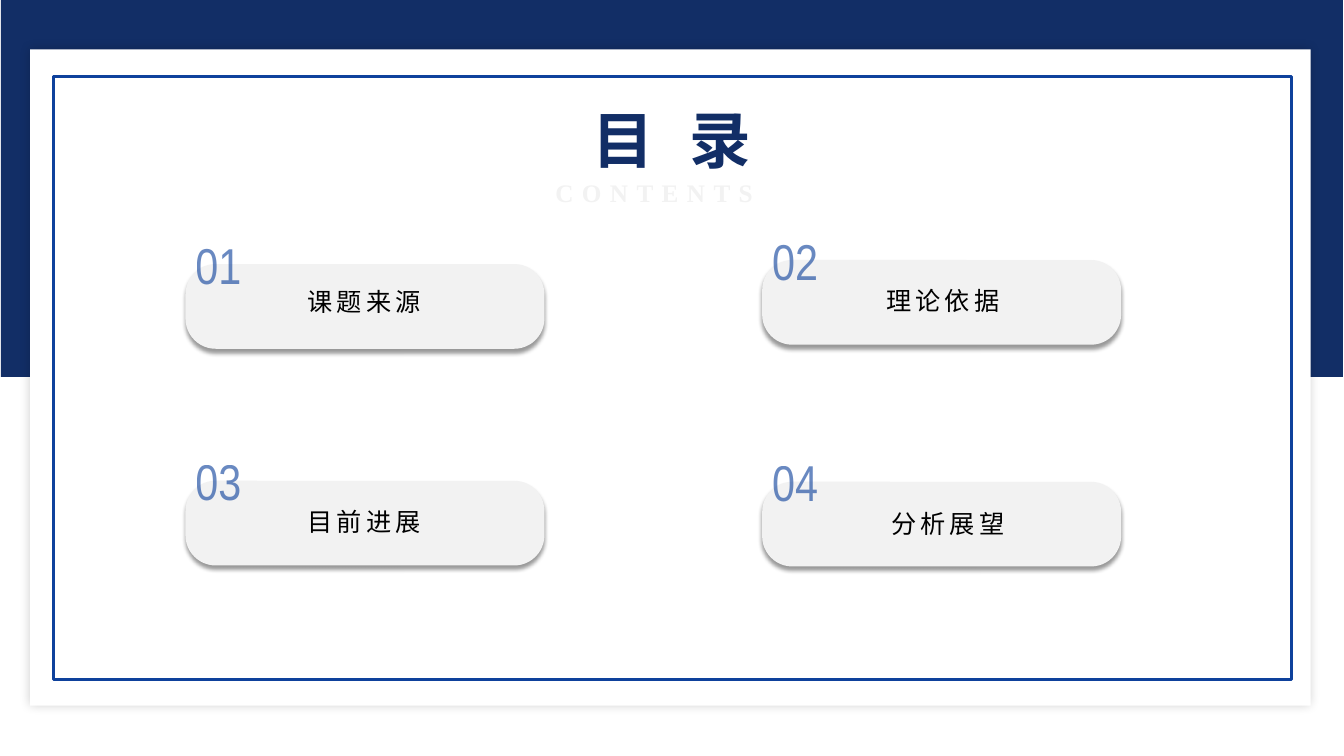
from lxml import etree
from pptx import Presentation
from pptx.dml.color import RGBColor
from pptx.enum.shapes import MSO_SHAPE
from pptx.enum.text import MSO_AUTO_SIZE, PP_ALIGN
from pptx.oxml.ns import qn
from pptx.util import Inches, Pt

RECT, ROUNDED = MSO_SHAPE.RECTANGLE, MSO_SHAPE.ROUNDED_RECTANGLE
GROW = MSO_AUTO_SIZE.SHAPE_TO_FIT_TEXT
LEFT, CENTER = PP_ALIGN.LEFT, PP_ALIGN.CENTER

NAVY, BLUE, WHITE, GREY, BLACK = "122E66", "0E419C", "FFFFFF", "F2F2F2", "000000"
CJK, NARROW, SERIF = "Noto Sans CJK SC", "Arial Narrow", "Times New Roman"

# number, title, card left and top, title left and top
TOPICS = [
    ("01", "课题来源", 1.84, 2.62, 2.95, 2.79),
    ("03", "目前进展", 1.84, 4.77, 2.95, 4.97),
    ("02", "理论依据", 7.56, 2.58, 8.69, 2.78),
    ("04", "分析展望", 7.56, 4.78, 8.74, 4.99),
]


def rgb(color):
    return RGBColor.from_string(color)


def set_alpha(fill, percent):
    """Make a solid fill element partly transparent."""
    color = fill.find(qn("a:srgbClr"))
    etree.SubElement(color, qn("a:alpha"), val=str(percent * 1000))


def add_shadow(s, percent, blur, dist, angle):
    """Add a black outer shadow; blur and dist are in points."""
    effects = s._element.spPr.find(qn("a:effectLst"))
    shadow = etree.SubElement(
        effects, qn("a:outerShdw"), blurRad=str(Pt(blur)), dist=str(Pt(dist)),
        dir=str(angle * 60000), algn="ctr", rotWithShape="0")
    color = etree.SubElement(shadow, qn("a:srgbClr"), val=BLACK)
    etree.SubElement(color, qn("a:alpha"), val=str(percent * 1000))


def add_box(shapes, kind, x, y, w, h, fill, line=None):
    s = shapes.add_shape(kind, Inches(x), Inches(y), Inches(w), Inches(h))
    s.shadow.inherit = False
    s.fill.solid()
    s.fill.fore_color.rgb = rgb(fill)
    if line:
        s.line.color.rgb = rgb(line)
        s.line.width = Pt(1.75)
    else:
        s.line.fill.background()
    return s


def add_text(shapes, text, x, y, w, h, size, font, color, bold=False,
             spacing=0, align=LEFT, wrap=True, alpha=None):
    s = shapes.add_textbox(Inches(x), Inches(y), Inches(w), Inches(h))
    tf = s.text_frame
    tf.word_wrap = wrap
    tf.auto_size = GROW
    p = tf.paragraphs[0]
    p.alignment = align
    r = p.add_run()
    r.text = text
    r.font.size = Pt(size)
    r.font.bold = bold
    r.font.name = font
    r.font.color.rgb = rgb(color)
    props = r.font._element
    etree.SubElement(props, qn("a:ea"), typeface=font)
    if spacing:
        props.set("spc", str(spacing * 100))
    if alpha:
        set_alpha(props.find(qn("a:solidFill")), alpha)


def add_topic(slide, number, title, x, y, title_x, title_y):
    shapes = slide.shapes.add_group_shape().shapes
    card = add_box(shapes, ROUNDED, x, y, 3.56, 0.84, GREY)
    card.adjustments[0] = 0.356
    add_shadow(card, 40, 3, 3, 90)
    add_text(shapes, number, x, y - 0.35, 0.73, 0.71, 36, NARROW, BLUE,
             wrap=False, alpha=62)
    add_text(shapes, title, title_x, title_y, 1.75, 0.4, 18, CJK, BLACK,
             spacing=3)


def main():
    prs = Presentation()
    prs.slide_width, prs.slide_height = Inches(13.33), Inches(7.5)
    slide = prs.slides.add_slide(prs.slide_layouts[6])
    shapes = slide.shapes

    add_box(shapes, RECT, 0.01, 0, 13.31, 3.74, NAVY)
    panel = add_box(shapes, RECT, 0.3, 0.49, 12.7, 6.51, WHITE)
    add_shadow(panel, 20, 8, 0, 0)
    add_box(shapes, RECT, 0.53, 0.76, 12.28, 5.98, WHITE, BLUE)

    add_text(shapes, "目录", 5.58, 0.96, 2.17, 0.84, 44, CJK, NAVY,
             bold=True, spacing=25, align=CENTER, wrap=False)
    add_text(shapes, "CONTENTS", 5.41, 1.71, 2.3, 0.4, 18, SERIF, GREY,
             bold=True, spacing=6, wrap=False)
    for topic in TOPICS:
        add_topic(slide, *topic)

    prs.save("out.pptx")


if __name__ == "__main__":
    main()
